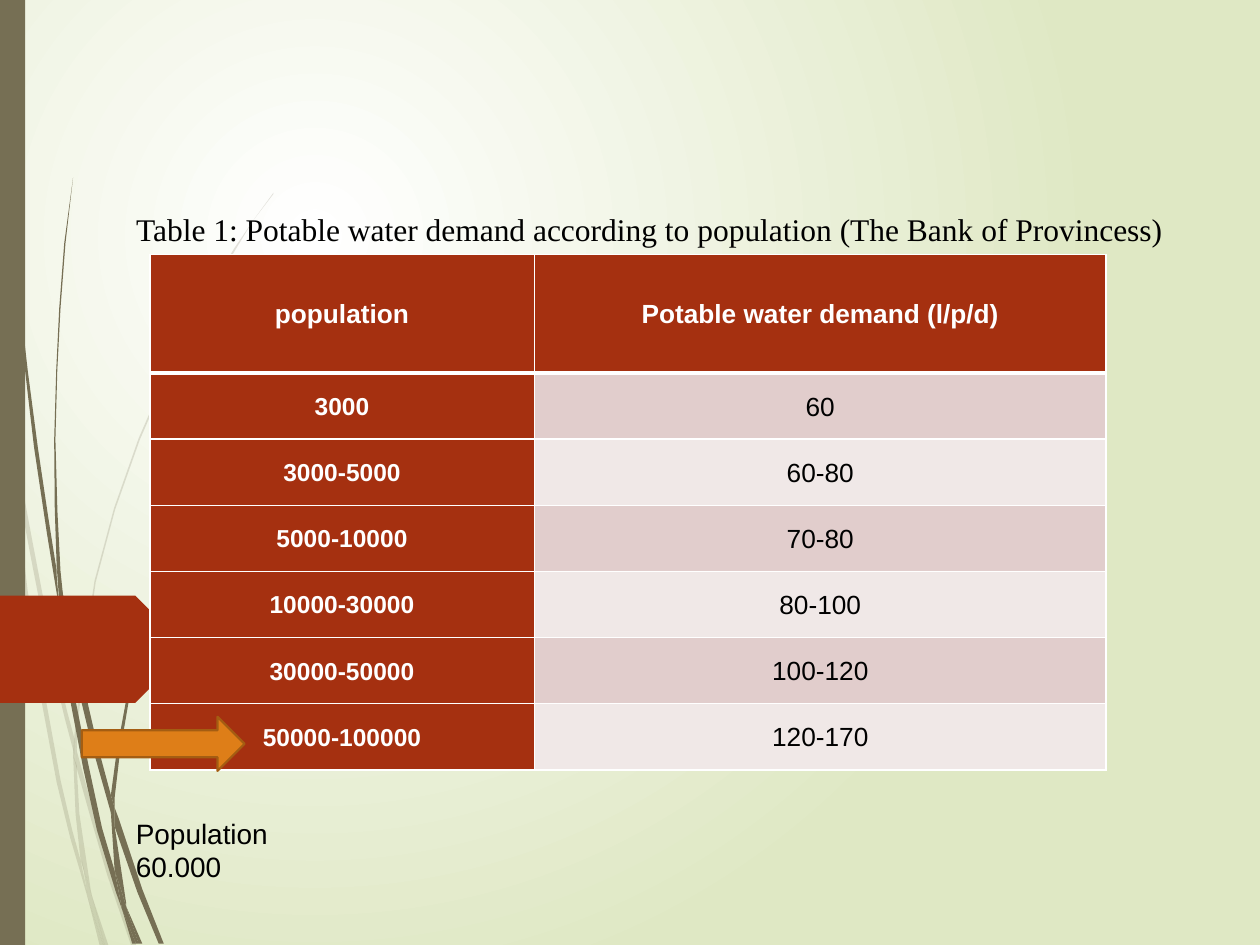
from lxml import etree
from pptx import Presentation
from pptx.dml.color import RGBColor
from pptx.enum.shapes import MSO_SHAPE
from pptx.enum.text import MSO_ANCHOR, MSO_AUTO_SIZE, PP_ALIGN
from pptx.oxml.ns import qn
from pptx.util import Cm, Pt

RECT, TAG, ARROW = MSO_SHAPE.RECTANGLE, MSO_SHAPE.PENTAGON, MSO_SHAPE.RIGHT_ARROW
MIDDLE, TOP = MSO_ANCHOR.MIDDLE, MSO_ANCHOR.TOP
CENTER, LEFT = PP_ALIGN.CENTER, PP_ALIGN.LEFT
NO_FIT = MSO_AUTO_SIZE.NONE

WHITE = RGBColor(0xFF, 0xFF, 0xFF)
BLACK = RGBColor(0, 0, 0)
PALE_GREEN = RGBColor(0xDF, 0xE8, 0xC4)
OLIVE = RGBColor(0x76, 0x6F, 0x54)
RUST = RGBColor(0xA5, 0x30, 0x10)
ROSE = RGBColor(0xE1, 0xCD, 0xCC)
PALE_ROSE = RGBColor(0xF0, 0xE8, 0xE7)
ORANGE = RGBColor(0xDE, 0x7E, 0x18)
BROWN = RGBColor(0xA4, 0x5D, 0x12)

GRID_HEIGHT = 750
FAINT_BLADES = [
    ([(8, 350), (6, 322), (0, 282)], [(0, 299), (7, 344)]),
    ([(12, 376), (40, 522), (59, 599)], [(59, 586), (43, 520), (10, 345)]),
    ([(61, 610), (85, 694), (104, 750)], [(108, 750), (88, 692), (64, 607), (61, 596)]),
    ([(73, 711), (83, 750)], [(86, 750)]),
    ([(8, 350), (19, 470), (45, 621), (64, 693), (70, 714)],
     [(69, 707), (64, 683), (48, 619), (22, 469), (12, 376)]),
    ([(58, 599), (60, 646), (64, 683), (67, 692), (73, 711)],
     [(72, 706), (63, 646), (61, 610), (61, 608)]),
    ([(61, 596), (61, 584), (76, 462), (111, 349), (159, 245), (187, 198), (201, 175), (217, 154)],
     [(217, 153), (201, 175), (186, 197), (158, 244), (110, 348), (75, 461), (59, 584), (59, 586)]),
    ([(70, 714), (79, 750)], [(82, 750)]),
    ([(61, 610), (61, 596)], [(59, 586), (58, 599)]),
    ([(65, 683), (69, 707), (70, 714), (82, 750)], [(83, 750), (73, 711), (67, 692)]),
]
DARK_BLADES = [
    ([(2, 0), (3, 48), (5, 110), (14, 233), (27, 355), (46, 477), (47, 481)],
     [(45, 457), (45, 453), (30, 355), (15, 232), (6, 109), (4, 48), (3, 0)]),
    ([(50, 472), (53, 505), (73, 592), (88, 645)], [(88, 633), (88, 631), (77, 590), (50, 472)]),
    ([(91, 641), (91, 656), (109, 708), (126, 749)], [(130, 749), (113, 706), (94, 649)]),
    ([(47, 477), (56, 557), (77, 659), (92, 708), (97, 722)],
     [(96, 717), (91, 691), (81, 657), (60, 556), (53, 505)]),
    ([(49, 472), (45, 449), (43, 349), (47, 245), (51, 193), (58, 141)],
     [(58, 141), (52, 193), (48, 245), (44, 349), (48, 453), (50, 472)]),
    ([(100, 719), (110, 749)], [(113, 749)]),
    ([(45, 449), (47, 477)], [(53, 505), (50, 472)]),
    ([(91, 641), (91, 633), (103, 552), (131, 476), (169, 406), (191, 374), (216, 344)],
     [(215, 344), (191, 373), (168, 405), (129, 474), (101, 551), (88, 631)]),
    ([(97, 722), (105, 749)], [(108, 749)]),
    ([(88, 645), (91, 691), (96, 706), (100, 719)], [(100, 716), (91, 656), (90, 651)]),
    ([(88, 631), (88, 645)], [(91, 656), (91, 641)]),
    ([(91, 691), (96, 717), (97, 722), (108, 749)], [(110, 749), (100, 719), (96, 706)]),
]
DEMAND = [
    ("population", "Potable water demand (l/p/d)"),
    ("3000", "60"),
    ("3000-5000", "60-80"),
    ("5000-10000", "70-80"),
    ("10000-30000", "80-100"),
    ("30000-50000", "100-120"),
    ("50000-100000", "120-170"),
]


def add_run(p, text, size, color, font="Arial", bold=False):
    """Append one formatted run to a paragraph."""
    r = p.add_run()
    r.text = text
    r.font.size, r.font.name, r.font.bold = Pt(size), font, bold
    r.font.color.rgb = color


def set_background(s):
    """Fill the slide with a white to green radial gradient."""
    fill = s.background.fill
    fill.gradient()
    for stop, color, position in zip(fill.gradient_stops, (WHITE, PALE_GREEN), (0, 1)):
        stop.color.rgb, stop.position = color, position
    grad = s._element.find(".//" + qn("a:gradFill"))
    grad.remove(grad.find(qn("a:lin")))
    shade = etree.SubElement(grad, qn("a:path"), path="circle")
    etree.SubElement(shade, qn("a:fillToRect"), l="50000", t="50000", r="100000", b="100000")


def smooth_edge(points):
    """Add one curve midpoint to each long step of an edge."""
    padded = [points[0], *points, points[-1]]
    curve = [points[0]]
    for a, b, c, d in zip(padded, padded[1:], padded[2:], padded[3:]):
        if abs(c[1] - b[1]) > 60:
            curve.append(tuple((9 * (q + r) - p - w) / 16 for p, q, r, w in zip(a, b, c, d)))
        curve.append(c)
    return curve


def add_blades(s, box, blades, alpha=100):
    """Draw a group of grass blades, each bounded by two smooth edges."""
    left, top, _, height = box
    unit = height / GRID_HEIGHT
    group = s.shapes.add_group_shape()
    for out, back in blades:
        outline = [(Cm(left + x * unit), Cm(top + y * unit))
                   for x, y in smooth_edge(out) + smooth_edge(back)]
        builder = group.shapes.build_freeform(*outline[0])
        builder.add_line_segments(outline[1:])
        sp = builder.convert_to_shape()
        style_shape(sp, OLIVE)
        if alpha < 100:
            color = sp._element.spPr.find(".//" + qn("a:srgbClr"))
            etree.SubElement(color, qn("a:alpha"), val=str(alpha * 1000))


def style_shape(sp, color, line=None):
    """Give a shape a flat fill and an optional outline."""
    sp.shadow.inherit = False
    sp.fill.solid()
    sp.fill.fore_color.rgb = color
    if line is None:
        sp.line.fill.background()
    else:
        sp.line.color.rgb, sp.line.width = line, Pt(1.25)


def add_block(s, kind, box, color, line=None):
    """Add a preset shape in the given box."""
    sp = s.shapes.add_shape(kind, *map(Cm, box))
    style_shape(sp, color, line)


def add_caption(s, box):
    """Use the title placeholder as the table caption."""
    sp = s.shapes.title
    sp.left, sp.top, sp.width, sp.height = map(Cm, box)
    tf = sp.text_frame
    tf.word_wrap, tf.auto_size, tf.vertical_anchor = True, NO_FIT, TOP
    p = tf.paragraphs[0]
    p.alignment, p.line_spacing, p.space_after = LEFT, 1.07, Pt(6)
    add_run(p, "Table 1: Potable water demand according to population (The Bank of Provincess)",
            18, BLACK, "Times New Roman")


def set_borders(cell, top, bottom):
    """Draw white borders around a cell, with widths in points."""
    tcPr = cell._tc.get_or_add_tcPr()
    for i, (side, width) in enumerate((("L", 1), ("R", 1), ("T", top), ("B", bottom))):
        ln = etree.Element(qn("a:ln" + side), w=str(Pt(width)))
        fill = etree.SubElement(ln, qn("a:solidFill"))
        etree.SubElement(fill, qn("a:srgbClr"), val=str(WHITE))
        tcPr.insert(i, ln)


def add_demand_table(s, box):
    """Add the table of water demand by population."""
    width, height = box[2:]
    table = s.shapes.add_table(len(DEMAND), 2, *map(Cm, box)).table
    first_column, header_height = 7.75, 2.39
    table.columns[0].width, table.columns[1].width = Cm(first_column), Cm(width - first_column)
    row_height = (height - header_height) / (len(DEMAND) - 1)
    for i, texts in enumerate(DEMAND):
        table.rows[i].height = Cm(row_height if i else header_height)
        for j, text in enumerate(texts):
            cell = table.cell(i, j)
            heading = i == 0 or j == 0
            cell.fill.solid()
            cell.fill.fore_color.rgb = RUST if heading else ROSE if i % 2 else PALE_ROSE
            cell.margin_left = cell.margin_right = Cm(0.1)
            cell.margin_top = cell.margin_bottom = 0
            cell.vertical_anchor = MIDDLE
            set_borders(cell, 3 if i == 1 else 1, 1 if i else 3)
            p = cell.text_frame.paragraphs[0]
            p.alignment, p.line_spacing = CENTER, 1.07
            add_run(p, text, 14 if i and j == 0 else 15, WHITE if heading else BLACK, bold=heading)


def add_note(s, box):
    """Add the population note below the table."""
    tf = s.shapes.add_textbox(*map(Cm, box)).text_frame
    tf.word_wrap = True
    add_run(tf.paragraphs[0], "Population", 16, BLACK)
    add_run(tf.add_paragraph(), "60.000", 16, BLACK)


def main():
    """Build and save the slide."""
    width, height = 25.4, 19.05
    prs = Presentation()
    prs.slide_width, prs.slide_height = Cm(width), Cm(height)
    s = prs.slides.add_slide(prs.slide_layouts[5])
    set_background(s)
    add_blades(s, (0, 0, width, height), FAINT_BLADES, 20)
    add_blades(s, (0, 0, width, height), DARK_BLADES)
    add_block(s, RECT, (0, 0, 0.51, height), OLIVE)
    add_block(s, TAG, (0, 12.01, 3.81, 2.16), RUST)
    add_caption(s, (2.49, 4.06, 21.77, 1.09))
    add_demand_table(s, (3.02, 5.13, 19.28, 10.39))
    add_block(s, ARROW, (1.65, 14.45, 3.28, 1.09), ORANGE, BROWN)
    add_note(s, (2.49, 16.33, 3.25, 1.63))
    prs.save("out.pptx")


if __name__ == "__main__":
    main()
